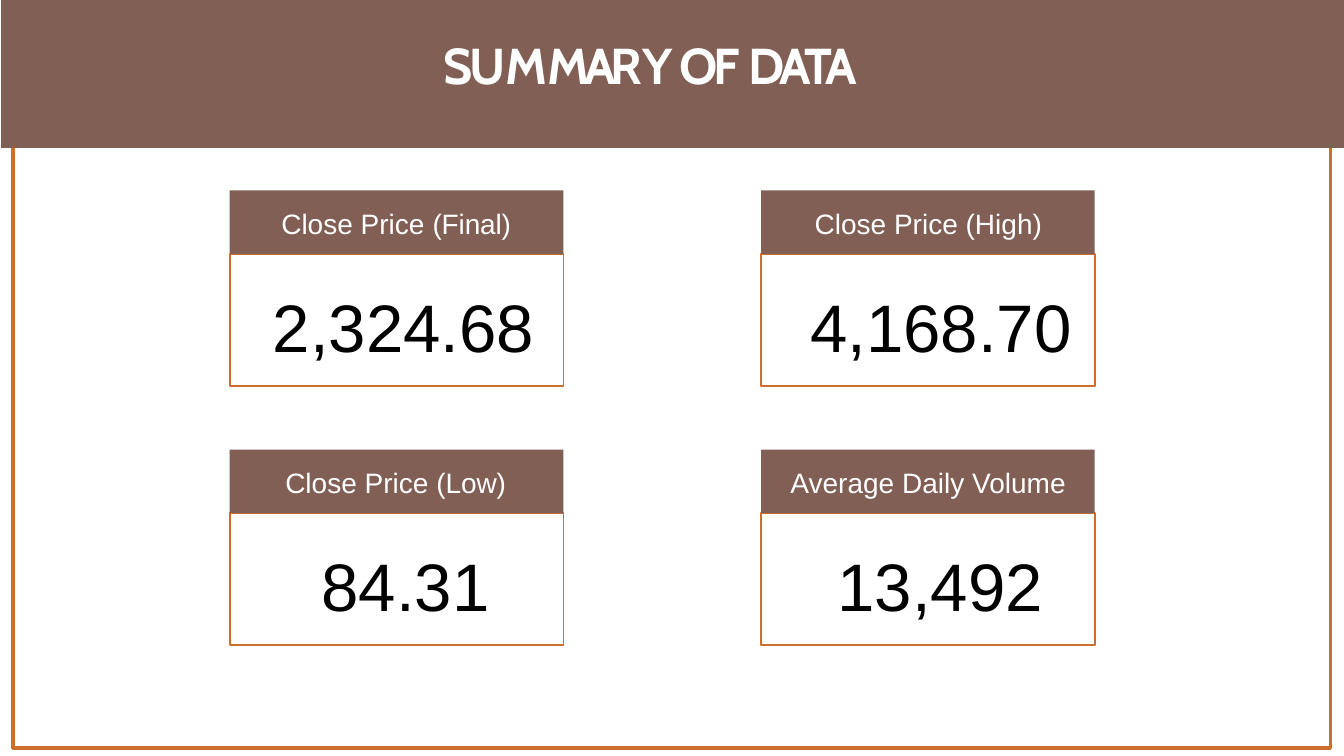
from pptx import Presentation
from pptx.dml.color import RGBColor
from pptx.enum.shapes import MSO_SHAPE as SHAPE
from pptx.enum.text import MSO_ANCHOR as ANCHOR, MSO_AUTO_SIZE as AUTO, PP_ALIGN as ALIGN
from pptx.util import Cm, Pt

BROWN, ORANGE, WHITE, BLACK = "815F55", "CC6F2C", "FFFFFF", "000000"

TITLE = [("SU", -2.4), ("M", -3), ("MAR", -3.7), ("Y ", -3.2), ("OF ", -2.6), ("DATA", -2.9)]
TITLE_FONT = {"name": "Cabin", "size": Pt(36), "bold": True}
LABEL_FONT = {"name": "Arial", "size": Pt(20)}
VALUE_FONT = {"name": "Arial", "size": Pt(48)}

# Label runs with letter spacing, label indent, value, value indent; row by row
CARDS = [
    ([("Close Price ", 0), ("(Final)", -0.1)], 1.3, "2,324.68", 1.09),
    ([("Close Price (High)", 0)], 1.35, "4,168.70", 1.24),
    ([("Close Price ", 0), ("(Low)", -0.1)], 1.4, "84.31", 2.31),
    ([("Average Daily Volume", 0)], 0.74, "13,492", 1.93),
]
CARD_LEFT, CARD_TOP, CARD_W = 5.79, 4.8, 8.41
COL_STEP, ROW_STEP = 13.39, 6.53
LABEL_H, VALUE_H = 1.6, 3.33


def rgb(color):
    return RGBColor.from_string(color)


def add_box(s, x, y, w, h, fill=None, line=None, line_w=1.2):
    sp = s.shapes.add_shape(SHAPE.RECTANGLE, Cm(x), Cm(y), Cm(w), Cm(h))
    sp.shadow.inherit = False
    if fill:
        sp.fill.solid()
        sp.fill.fore_color.rgb = rgb(fill)
    else:
        sp.fill.background()
    if line:
        sp.line.color.rgb = rgb(line)
        sp.line.width = Pt(line_w)
    else:
        sp.line.fill.background()
    return sp


def write(sp, runs, font, color, left, top):
    """Fill a shape with one left-aligned line of (text, letter spacing) runs."""
    tf = sp.text_frame
    frame = {"margin_left": Cm(left), "margin_top": Cm(top), "margin_right": 0,
             "margin_bottom": 0, "vertical_anchor": ANCHOR.TOP,
             "word_wrap": True, "auto_size": AUTO.NONE}
    for name, value in frame.items():
        setattr(tf, name, value)
    p = tf.paragraphs[0]
    p.alignment = ALIGN.LEFT
    p.space_before = Pt(0)
    for text, spacing in runs:
        r = p.add_run()
        r.text = text
        for name, value in font.items():
            setattr(r.font, name, value)
        r.font.color.rgb = rgb(color)
        if spacing:
            r._r.get_or_add_rPr().set("spc", str(round(spacing * 100)))


def add_card(s, x, y, label, label_indent, value, value_indent):
    value_box = add_box(s, x, y + LABEL_H, CARD_W, VALUE_H, WHITE, ORANGE)
    write(value_box, [(value, 0)], VALUE_FONT, BLACK, value_indent, 0.78)
    label_box = add_box(s, x, y, CARD_W, LABEL_H, BROWN)
    write(label_box, label, LABEL_FONT, WHITE, label_indent, 0.4)


def place_title(s):
    title = s.shapes.title
    place = {"left": Cm(11.15), "top": Cm(0.84), "width": Cm(11.25), "height": Cm(1.6)}
    for name, value in place.items():
        setattr(title, name, value)
    write(title, TITLE, TITLE_FONT, WHITE, 0.03, 0.03)
    title.element.getparent().append(title.element)  # in front of the header band


def main():
    prs = Presentation()
    prs.slide_width, prs.slide_height = Cm(33.87), Cm(19.05)
    s = prs.slides.add_slide(prs.slide_layouts[5])
    add_box(s, 0.33, 0.23, 33.2, 18.62, line=ORANGE, line_w=2.28)
    add_box(s, 0.03, 0, 33.84, 3.73, BROWN)
    place_title(s)
    for i, card in enumerate(CARDS):
        row, col = divmod(i, 2)
        add_card(s, CARD_LEFT + col * COL_STEP, CARD_TOP + row * ROW_STEP, *card)
    prs.save("out.pptx")


if __name__ == "__main__":
    main()
